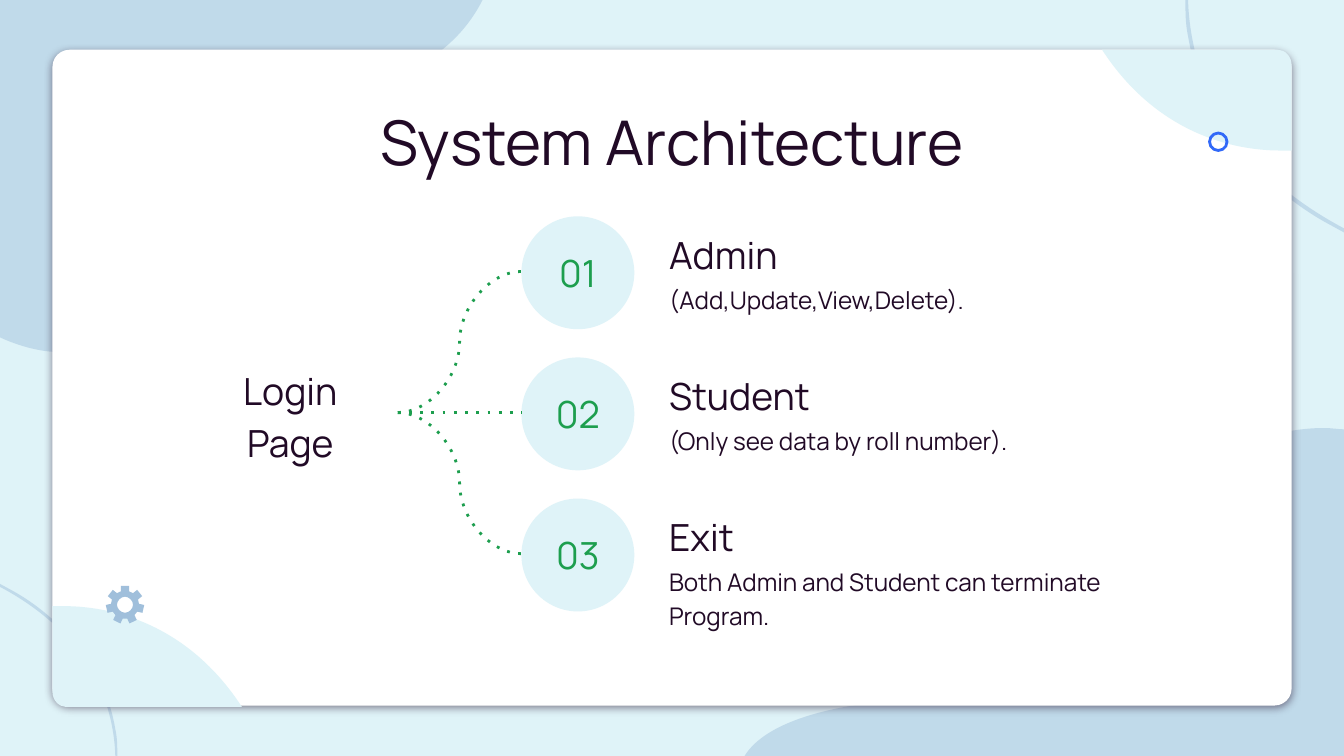
from math import cos, pi, sin

from lxml.etree import SubElement
from pptx import Presentation
from pptx.dml.color import RGBColor
from pptx.enum.dml import MSO_LINE
from pptx.enum.shapes import MSO_CONNECTOR, MSO_SHAPE as Shape
from pptx.enum.text import MSO_ANCHOR as Anchor, MSO_AUTO_SIZE, PP_ALIGN as Align
from pptx.oxml.ns import qn
from pptx.util import Inches, Pt

WIDTH, HEIGHT = 10, 10 * 9 / 16
FONT = "Manrope"
COLORS = {"pale": "DFF3F8", "blue": "A0BFDB", "white": "FFFFFF",
          "ink": "210A26", "green": "1D9E4E", "ring": "3169F8"}
ROLES = [("Admin", "(Add,Update,View,Delete).", 3.74),
         ("Student", "(Only see data by roll number).", 3.74),
         ("Exit", "Both Admin and Student can terminate Program.", 4.12)]

# Outlines: a pair is a straight step, six numbers are a cubic curve
ARC = [(-1.16, 0), (-1.15, .36, -1.03, .73, -.82, 1.02),
       (-.6, 1.31, -.32, 1.53, 0, 1.7), (0, 1.73), (-.11, 1.67),
       (-.37, 1.53, -.6, 1.33, -.79, 1.1), (-.98, .86, -1.11, .57, -1.16, .27),
       (-1.18, .18, -1.18, .09, -1.18, 0)]
CORNER = [(-1.41, 0), (-1.04, .57, -.51, .75, -.08, .75),
          (-.05, .75, -.03, .75, 0, .75), (0, .11), (0, .05, -.05, 0, -.1, 0)]
TOP_BLOB = [(.45, 2.62), (.22, 2.62, 0, 2.51, 0, 2.51), (0, 0), (3.59, 0),
            (3.13, .91, 1.71, .73, 1.12, .91), (.53, 1.09, 1.18, 1.96, .86, 2.42),
            (.75, 2.58, .6, 2.62, .45, 2.62)]
BOTTOM_BLOB = [(-4.46, 0), (-4.3, -.26, -3.76, -.43, -2.88, -.43),
               (-2.85, -.43, -2.82, -.43, -2.78, -.43),
               (-2.77, -.43, -2.76, -.43, -2.75, -.43),
               (-1.43, -.43, -1.99, -1.59, -1.01, -2.2),
               (-.75, -2.36, -.4, -2.44, -.15, -2.44),
               (-.09, -2.44, -.04, -2.43, 0, -2.43), (0, 0)]
GEAR_HOLE = [(0, -.06), (-.03, -.06, -.06, -.03, -.06, 0), (-.06, .03, -.03, .06, 0, .06),
             (.03, .06, .06, .03, .06, 0), (.06, -.03, .03, -.06, 0, -.06)]


def color(name):
    return RGBColor.from_string(COLORS[name])


def paint(shape, fill=None, alpha=None):
    shape.shadow.inherit = False
    shape.line.fill.background()
    if fill is None:
        shape.fill.background()
        return
    shape.fill.solid()
    shape.fill.fore_color.rgb = color(fill)
    if alpha:
        tint = shape.element.spPr.find(qn("a:solidFill"))[0]
        SubElement(tint, qn("a:alpha")).set("val", str(alpha * 1000))


def add_outline(page, left, top, contours, fill, alpha=None, scale=1):
    """Draw contours around an origin; a negative scale turns them by 180 degrees."""
    placed = [[[(Inches(left + scale * x), Inches(top + scale * y))
                for x, y in zip(part[::2], part[1::2])] for part in contour]
              for contour in contours]
    builder = page.shapes.build_freeform(*placed[0][0][0])
    for index, contour in enumerate(placed):
        if index:
            builder.move_to(*contour[0][0])
        builder.add_line_segments([part[-1] for part in contour[1:]], close=True)
    shape = builder.convert_to_shape()
    paint(shape, fill, alpha)
    # Replace the straight steps by curves where the outline has them
    track = shape.element.spPr.find(".//" + qn("a:path"))
    steps = [step for step in track if step.tag == qn("a:lnTo")]
    curves = [part for contour in placed for part in contour[1:]]
    for step, part in zip(steps, curves):
        if len(part) == 3:
            curve = track.makeelement(qn("a:cubicBezTo"))
            for x, y in part:
                SubElement(curve, qn("a:pt"), x=str(x - shape.left), y=str(y - shape.top))
            track.replace(step, curve)


def write(shape, lines, size, ink="ink", align=Align.LEFT, anchor=Anchor.TOP, spacing=1.15):
    frame = shape.text_frame
    frame.text = "\n".join(lines)
    margins = dict.fromkeys(("margin_left", "margin_top", "margin_right", "margin_bottom"),
                            Inches(.1))
    settings = {"word_wrap": True, "auto_size": MSO_AUTO_SIZE.NONE,
                "vertical_anchor": anchor, **margins}
    for name, value in settings.items():
        setattr(frame, name, value)
    for para in frame.paragraphs:
        para.alignment, para.line_spacing = align, spacing
        for span in para.runs:
            for name, value in {"name": FONT, "size": Pt(size), "bold": False}.items():
                setattr(span.font, name, value)
            span.font.color.rgb = color(ink)


def add_text(page, left, top, width, height, lines, size, **style):
    box = page.shapes.add_textbox(*map(Inches, (left, top, width, height)))
    write(box, lines, size, **style)


def add_backdrop(page, width, height):
    page.background.fill.solid()
    page.background.fill.fore_color.rgb = color("pale")
    for left, top, outline, scale in [(width, 0, ARC, 1), (0, 0, TOP_BLOB, 1),
                                      (width, height, BOTTOM_BLOB, 1),
                                      (0, height, ARC, -.74)]:
        add_outline(page, left, top, [outline], "blue", 48, scale)


def add_card(page, left, top, width, height):
    card = page.shapes.add_shape(Shape.ROUNDED_RECTANGLE,
                                 *map(Inches, (left, top, width, height)))
    card.adjustments[0] = .026
    paint(card, "white")
    effects = card.element.spPr.find(qn("a:effectLst"))
    shadow = SubElement(effects, qn("a:outerShdw"), blurRad=str(Pt(4.5)), dist=str(Pt(1.5)),
                        dir="5400000", algn="bl", rotWithShape="0")
    tint = SubElement(shadow, qn("a:srgbClr"), val=COLORS["ink"])
    SubElement(tint, qn("a:alpha"), val="50000")
    add_outline(page, left, top + height + .01, [CORNER], "pale", scale=-1)
    add_outline(page, left + width, top, [CORNER], "pale")


def add_title(page, left, top, width, height):
    title = page.shapes.title
    title.left, title.top, title.width, title.height = map(Inches, (left, top, width, height))
    write(title, ["System Architecture"], 33, align=Align.CENTER)
    title.element.getparent().append(title.element)  # bring in front of the card


def add_role(page, left, top, number, role, detail, detail_width):
    circle = page.shapes.add_shape(Shape.OVAL, *map(Inches, (left, top, .84, .84)))
    paint(circle, "pale")
    write(circle, [f"{number:02}"], 20, "green", Align.CENTER, Anchor.MIDDLE, 1.0)
    add_text(page, left + 1, top - .02, 3.74, .57, [role], 20, anchor=Anchor.BOTTOM)
    add_text(page, left + 1, top + .38, detail_width, .42, [detail], 13)


def add_branch(page, start, end):
    branch = page.shapes.add_connector(MSO_CONNECTOR.CURVE, *map(Inches, start + end))
    branch.line.color.rgb = color("green")
    branch.line.width = Pt(1.5)
    branch.line.dash_style = MSO_LINE.ROUND_DOT
    properties = branch.element.spPr
    properties.find(".//" + qn("a:prstDash")).set("val", "dot")
    SubElement(properties, qn("a:effectLst"))


def add_tree(page, left, top, pitch=1.05):
    """Login root on the left, three roles on the right."""
    add_text(page, left, top + .98, 1.58, .97, ["Login", "Page"], 20, align=Align.CENTER)
    root = (left + 1.59, top + .41 + pitch)
    for index, role in enumerate(ROLES):
        role_top = top + index * pitch
        add_role(page, left + 2.51, role_top, index + 1, *role)
        add_branch(page, root, (left + 2.51, role_top + .41))


def add_gear(page, center_x, center_y, teeth=7):
    rim = []
    for tooth in range(teeth):
        turn = 2 * pi * tooth / teeth
        rim += [(x * cos(turn) - y * sin(turn), x * sin(turn) + y * cos(turn))
                for x, y in [(-.03, -.1), (-.03, -.14), (.03, -.14), (.03, -.1)]]
    add_outline(page, center_x, center_y, [GEAR_HOLE, rim], "blue")


def add_ring(page, left, top, size):
    ring = page.shapes.add_shape(Shape.OVAL, *map(Inches, (left, top, size, size)))
    paint(ring)
    ring.line.color.rgb = color("ring")
    ring.line.width = Pt(1.5)


def main():
    deck = Presentation()
    deck.slide_width, deck.slide_height = Inches(WIDTH), Inches(HEIGHT)
    page = deck.slides.add_slide(deck.slide_layouts[5])
    # Backdrop and card
    add_backdrop(page, WIDTH, HEIGHT)
    add_card(page, .39, .37, 9.22, 4.88)
    # Content
    add_title(page, .78, .59, 8.44, .78)
    add_tree(page, 1.37, 1.61)
    # Ornaments
    add_gear(page, .93, 4.5)
    add_ring(page, 9, .99, .13)
    deck.save("out.pptx")


if __name__ == "__main__":
    main()
